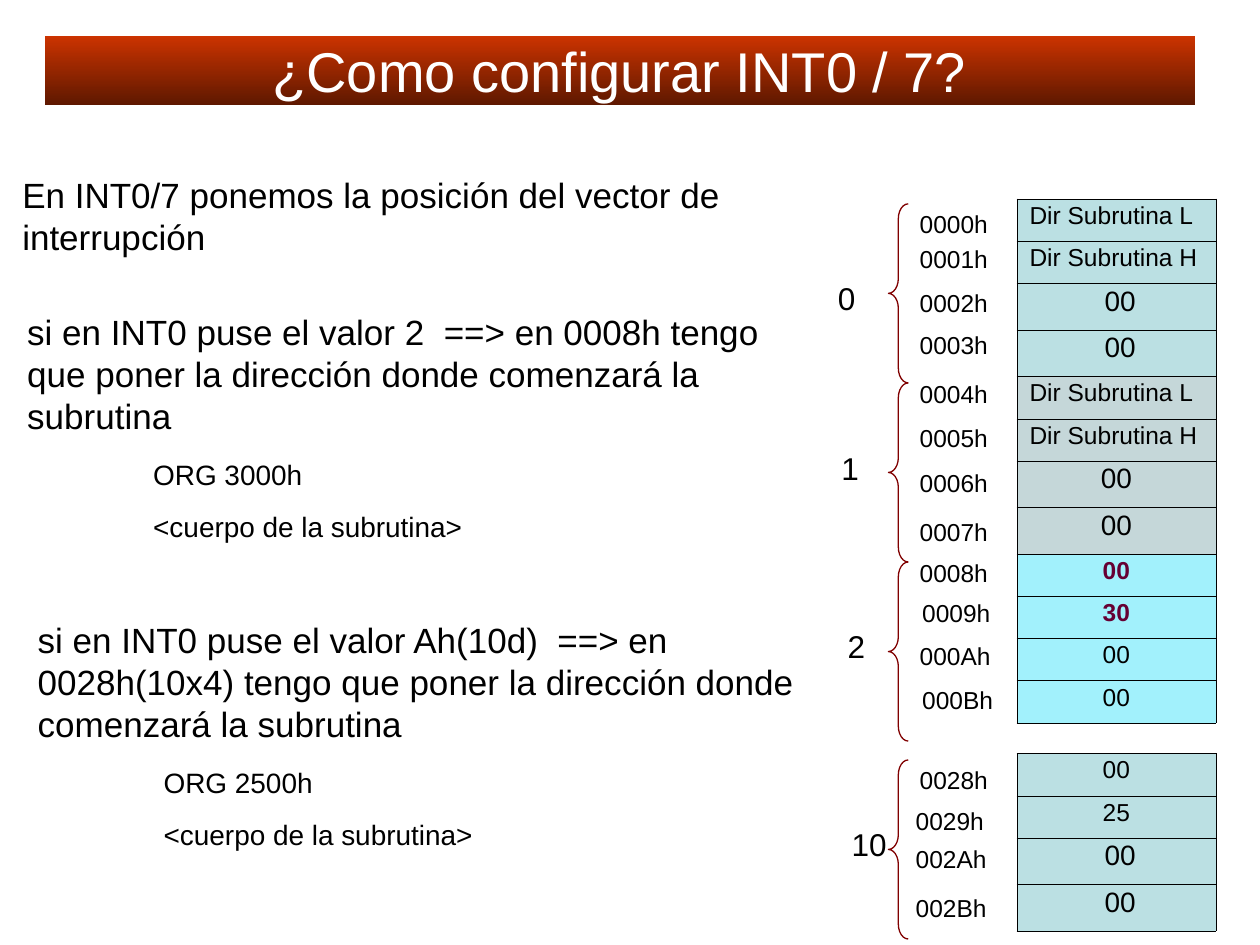
from lxml import etree
from pptx import Presentation
from pptx import util as u
from pptx.dml.color import RGBColor
from pptx.enum import shapes, text
from pptx.oxml import ns

BLACK, WHITE, MAROON, PLUM = "000000", "FFFFFF", "800000", "660033"
TEAL, GREY, CYAN = "BBE0E3", "C5D7D9", "A2F1FC"
CENTER = text.PP_ALIGN.CENTER
SMALL_ROW, LARGE_ROW = 0.85, 0.94
BRACE_WIDTH, BRACE_HEIGHT = 0.4, 3.61


def colour(hex_string):
    return RGBColor.from_string(hex_string)


def place(box):
    return [u.Cm(length) for length in box]


def write(frame, words, size=14, ink=BLACK, bold=False, align=text.PP_ALIGN.LEFT,
          before=0, spacing=None, indent=0):
    """Fill the frame's empty first paragraph, or add another one."""
    para = frame.paragraphs[0] if not frame.text else frame.add_paragraph()
    para.alignment = align
    para.space_before = u.Pt(before)
    if spacing:
        para.line_spacing = spacing
    if indent:
        properties = para._p.get_or_add_pPr()
        properties.set("marL", str(u.Cm(indent)))
        properties.set("indent", "0")
    span = para.add_run()
    span.text = words
    span.font.name = "Arial"
    span.font.size = u.Pt(size)
    span.font.bold = bold
    span.font.color.rgb = colour(ink)


def add_text_frame(page, box, wrap=True):
    """A frame that does not wrap takes the width of its text."""
    frame = page.shapes.add_textbox(*place(box)).text_frame
    frame.word_wrap = wrap
    if not wrap:
        frame.auto_size = text.MSO_AUTO_SIZE.SHAPE_TO_FIT_TEXT
    return frame


def add_title(page, box):
    title = page.shapes.title
    title.left, title.top, title.width, title.height = place(box)
    title.fill.gradient()
    title.fill.gradient_angle = 270
    for stop, shade in zip(title.fill.gradient_stops, ("CC3300", "5E1800")):
        stop.color.rgb = colour(shade)
    frame = title.text_frame
    frame.auto_size = text.MSO_AUTO_SIZE.NONE
    frame.vertical_anchor = text.MSO_ANCHOR.MIDDLE
    write(frame, "¿Como configurar INT0 / 7?", size=32, ink=WHITE, align=CENTER)


def add_example(page, box, explanation, origin):
    frame = add_text_frame(page, box)
    write(frame, explanation, size=20)
    write(frame, f"ORG {origin}", size=16, before=12, indent=2.54)
    write(frame, "<cuerpo de la subrutina>", size=16, before=10.5, indent=2.54)


def add_borders(cell):
    properties = cell._tc.get_or_add_tcPr()
    for side in ("lnL", "lnR", "lnT", "lnB"):
        line = etree.SubElement(properties, ns.qn(f"a:{side}"), w=str(u.Pt(0.23)))
        fill = etree.SubElement(line, ns.qn("a:solidFill"))
        etree.SubElement(fill, ns.qn("a:srgbClr"), val=BLACK)


def add_memory(page, left, top, width, cells):
    """Each cell is its words, its fill and its text format."""
    heights = [LARGE_ROW if look.get("size") == 16 else SMALL_ROW
               for _, _, look in cells]
    box = (left, top, width, sum(heights))
    table = page.shapes.add_table(len(cells), 1, *place(box)).table
    table.first_row = table.horz_banding = False
    for row, height, (words, shade, look) in zip(table.rows, heights, cells):
        row.height = u.Cm(height)
        cell = row.cells[0]
        add_borders(cell)
        cell.fill.solid()
        cell.fill.fore_color.rgb = colour(shade)
        write(cell.text_frame, words, spacing=0.87, **look)


def add_vector(page, left, top, number, number_at, labels_at):
    """Brace, vector number and four addresses, offset from the brace's corner."""
    brace = page.shapes.add_shape(shapes.MSO_SHAPE.LEFT_BRACE,
                                  *place((left, top, BRACE_WIDTH, BRACE_HEIGHT)))
    brace.shadow.inherit = False
    brace.adjustments[0] = 0.75
    brace.fill.background()
    brace.line.color.rgb = colour(MAROON)
    brace.line.width = u.Pt(0.75)

    across, down = number_at
    width = 0.86 if number < 10 else 1.22
    frame = add_text_frame(page, (left + across, top + down, width, 1.02), wrap=False)
    write(frame, str(number), size=18)

    for position, (across, down) in enumerate(labels_at):
        address = f"{4 * number + position:04X}h"
        width = 1.96 if address[3] in "AB" else 1.88
        frame = add_text_frame(page, (left + across, top + down, width, 0.86), wrap=False)
        write(frame, address)


def main():
    deck = Presentation()
    deck.slide_width, deck.slide_height = u.Inches(10), u.Inches(7.5)
    page = deck.slides.add_slide(deck.slide_layouts[5])

    add_title(page, (0.9, 0.72, 23.19, 1.4))
    intro = add_text_frame(page, (0.2, 3.38, 17.09, 1.96))
    write(intro, "En INT0/7 ponemos la posición del vector de interrupción", size=20)

    left_look = {}
    small = {"align": CENTER}
    large = {"align": CENTER, "size": 16}
    shifted = {**large, "indent": 0.15}
    strong = {**small, "bold": True, "ink": PLUM}
    routine = [("Dir Subrutina L", left_look), ("Dir Subrutina H", left_look)]
    banks = [
        (TEAL, routine + [("00", shifted)] * 2),
        (GREY, routine + [("00", large)] * 2),
        (CYAN, [("00", strong), ("30", strong)] + [("00", small)] * 2),
    ]
    cells = [(words, shade, look) for shade, bank in banks for words, look in bank]
    add_memory(page, 20.5, 4.01, 4.01, cells)
    last_bank = [("00", small), ("25", small)] + [("00", shifted)] * 2
    add_memory(page, 20.5, 15.19, 4.01,
               [(words, TEAL, look) for words, look in last_bank])

    first_top = 4.11
    vectors = [
        (0, first_top, (-1.27, 1.4),
         [(0.38, -0.02), (0.38, 0.69), (0.38, 1.58), (0.38, 2.42)]),
        (1, first_top + BRACE_HEIGHT, (-1.2, 1.2),
         [(0.38, -0.2), (0.38, 0.69), (0.38, 1.6), (0.38, 2.57)]),
        (2, first_top + 2 * BRACE_HEIGHT, (-1.07, 1.19),
         [(0.38, -0.2), (0.43, 0.61), (0.38, 1.47), (0.43, 2.36)]),
        (10, 15.32, (-0.99, 1.19),
         [(0.38, -0.03), (0.3, 0.81), (0.3, 1.57), (0.3, 2.56)]),
    ]
    for number, top, number_at, labels_at in vectors:
        add_vector(page, 17.91, top, number, number_at, labels_at)

    add_example(page, (0.3, 6.13, 16, 5.97),
                "si en INT0 puse el valor 2  ==> en 0008h tengo que poner "
                "la dirección donde comenzará la subrutina", "3000h")
    add_example(page, (0.51, 12.34, 16, 5.97),
                "si en INT0 puse el valor Ah(10d)  ==> en 0028h(10x4) tengo que poner "
                "la dirección donde comenzará la subrutina", "2500h")
    deck.save("out.pptx")


if __name__ == "__main__":
    main()
